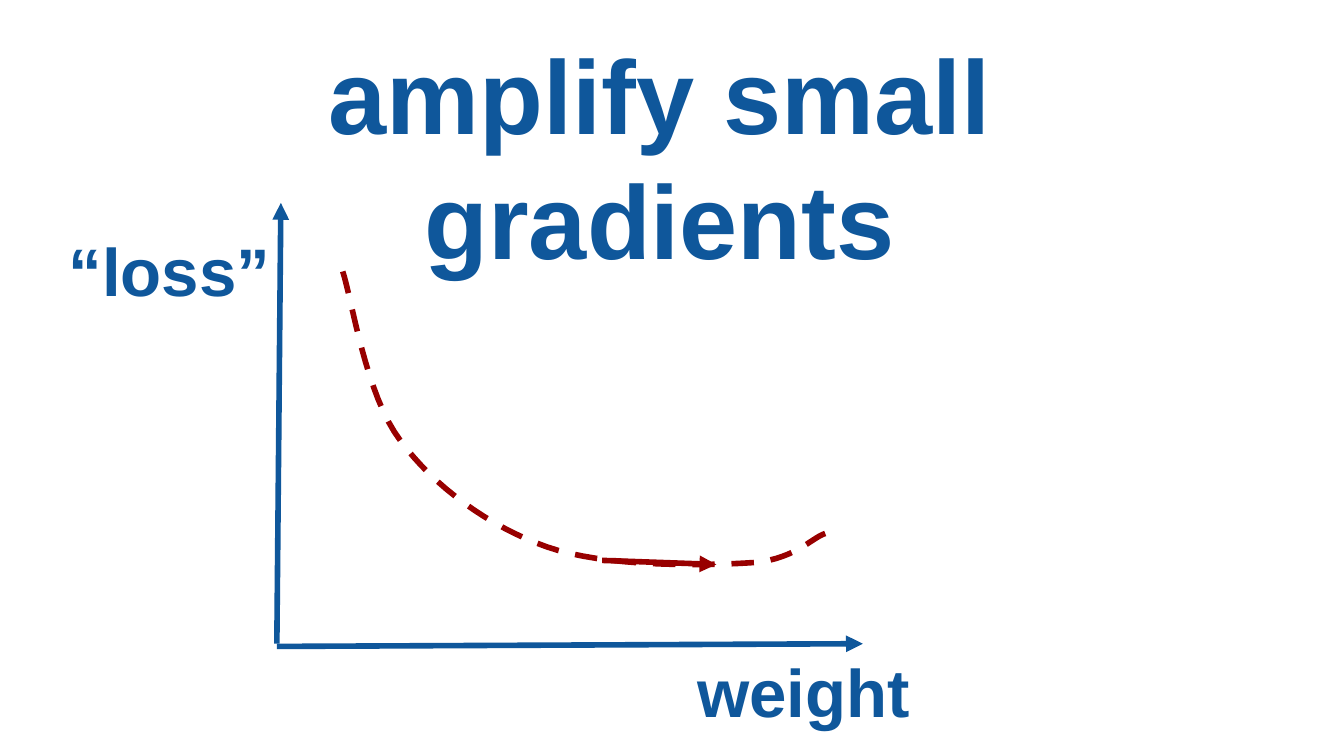
from lxml import etree
from pptx import Presentation
from pptx.dml.color import RGBColor
from pptx.enum.dml import MSO_LINE
from pptx.enum.shapes import MSO_CONNECTOR
from pptx.enum.text import MSO_ANCHOR, PP_ALIGN
from pptx.oxml.ns import qn
from pptx.util import Inches, Pt

DASH = MSO_LINE.DASH
STRAIGHT = MSO_CONNECTOR.STRAIGHT
TOP = MSO_ANCHOR.TOP
CENTER = PP_ALIGN.CENTER

SLIDE_WIDTH = Inches(10)
SLIDE_HEIGHT = SLIDE_WIDTH * 9 // 16
BLUE, RED = "0F579B", "980000"
FONT = "Arial"
LINE_WIDTH = 3
CURVE_STEPS = 16

TITLE = ("amplify small gradients", (0.6, 0.12, 8.62, 0.84))
AXIS_LABELS = [
    ("weight", (4.34, 4.74, 3.28, 0.81)),
    ("“loss”", (-0.38, 1.61, 3.28, 0.81)),
]
ARROWS = [
    ((2.06, 4.79), (2.09, 1.51), BLUE),
    ((2.06, 4.81), (6.42, 4.79), BLUE),
    ((4.48, 4.17), (5.33, 4.2), RED),
]
LOSS_START = (2.55, 2.02)
# Each segment: two control points and an end point
LOSS_SEGMENTS = [
    ((2.62, 2.23), (2.72, 2.94), (2.98, 3.28)),
    ((3.23, 3.62), (3.64, 3.92), (4.07, 4.07)),
    ((4.5, 4.22), (5.21, 4.21), (5.55, 4.19)),
    ((5.9, 4.18), (6.04, 4), (6.14, 3.97)),
]


def color(hex_string):
    return RGBColor.from_string(hex_string)


def add_text(slide, text, box, size, space_after=0):
    shape = slide.shapes.add_textbox(*map(Inches, box))
    frame = shape.text_frame
    frame.word_wrap = True
    frame.vertical_anchor = TOP
    frame.margin_left = frame.margin_right = Inches(0.1)
    frame.margin_top = frame.margin_bottom = Inches(0.1)
    paragraph = frame.paragraphs[0]
    paragraph.alignment = CENTER
    paragraph.space_after = Pt(space_after)
    run = paragraph.add_run()
    run.text = text
    run.font.name = FONT
    run.font.size = Pt(size)
    run.font.bold = True
    run.font.color.rgb = color(BLUE)


def style_line(shape, hex_string):
    shape.line.color.rgb = color(hex_string)
    shape.line.width = Pt(LINE_WIDTH)


def add_arrow(slide, start, end, hex_string):
    connector = slide.shapes.add_connector(STRAIGHT, *map(Inches, start + end))
    style_line(connector, hex_string)
    properties = connector._element.spPr
    etree.SubElement(properties.find(qn("a:ln")), qn("a:tailEnd"), type="triangle")
    etree.SubElement(properties, qn("a:effectLst"))


def bezier_points(start, segments):
    """Sample a chain of cubic Bézier segments, leaving out the start."""
    points = []
    for first, second, end in segments:
        for step in range(1, CURVE_STEPS + 1):
            t = step / CURVE_STEPS
            u = 1 - t
            points.append(tuple(
                Inches(u**3 * a + 3 * u**2 * t * b + 3 * u * t**2 * c + t**3 * d)
                for a, b, c, d in zip(start, first, second, end)
            ))
        start = end
    return points


def add_curve(slide, start, segments, hex_string):
    builder = slide.shapes.build_freeform(*map(Inches, start))
    builder.add_line_segments(bezier_points(start, segments), close=False)
    curve = builder.convert_to_shape()
    curve.shadow.inherit = False
    curve.fill.background()
    style_line(curve, hex_string)
    curve.line.dash_style = DASH


def main():
    presentation = Presentation()
    presentation.slide_width = SLIDE_WIDTH
    presentation.slide_height = SLIDE_HEIGHT
    slide = presentation.slides.add_slide(presentation.slide_layouts[6])
    add_text(slide, *TITLE, size=56)
    for text, box in AXIS_LABELS:
        add_text(slide, text, box, size=36, space_after=8)
    for start, end, hex_string in ARROWS:
        add_arrow(slide, start, end, hex_string)
    add_curve(slide, LOSS_START, LOSS_SEGMENTS, RED)
    presentation.save("out.pptx")


if __name__ == "__main__":
    main()
